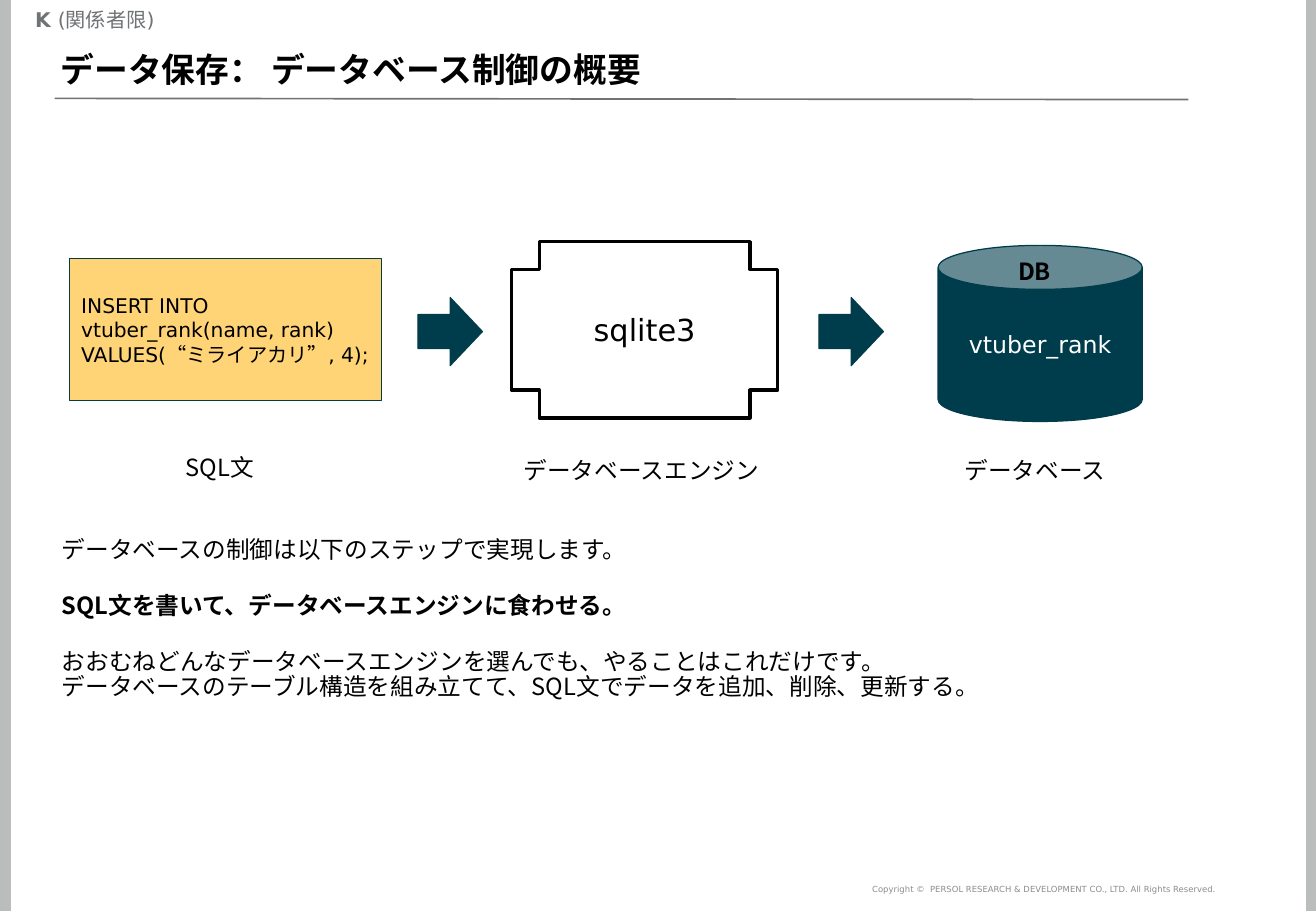
from pptx import Presentation
from pptx.dml.color import RGBColor
from pptx.enum.shapes import MSO_CONNECTOR, MSO_SHAPE
from pptx.enum.text import MSO_ANCHOR, PP_ALIGN
from pptx.util import Pt
from lxml import etree

PX = 9144  # 100 px to the inch
A = "http://schemas.openxmlformats.org/drawingml/2006/main"
SANS, GOTHIC = "DejaVu Sans", "Noto Sans CJK JP"
LEFT, CENTER, RIGHT = PP_ALIGN.LEFT, PP_ALIGN.CENTER, PP_ALIGN.RIGHT
TOP, MIDDLE = MSO_ANCHOR.TOP, MSO_ANCHOR.MIDDLE
RECT, PLUS, CAN = MSO_SHAPE.RECTANGLE, MSO_SHAPE.CROSS, MSO_SHAPE.CAN
ARROW, BAND = MSO_SHAPE.RIGHT_ARROW, MSO_SHAPE.FLOWCHART_PROCESS
BLACK, WHITE, GRAY, TEAL, EDGE = "000000", "FFFFFF", "707375", "003D4C", "003C4A"


def color(hex_code):
    return RGBColor.from_string(hex_code)


def emu(*lengths):
    return [length * PX for length in lengths]


def write(frame, paragraphs, size=14, font=GOTHIC, ink=BLACK, align=LEFT,
          anchor=TOP, spacing=None, bottom=5):
    """Each paragraph is (space before in points, [(text, bold), ...])."""
    frame.word_wrap = True
    frame.vertical_anchor = anchor
    frame.margin_left, frame.margin_top, frame.margin_right, frame.margin_bottom = emu(10, 5, 10, bottom)
    for i, (before, runs) in enumerate(paragraphs):
        paragraph = frame.add_paragraph() if i else frame.paragraphs[0]
        paragraph.alignment = align
        paragraph.space_before = Pt(before)
        if spacing:
            paragraph.line_spacing = spacing
        for words, bold in runs:
            run = paragraph.add_run()
            run.text = words
            run.font.size, run.font.bold, run.font.name = Pt(size), bold, font
            run.font.color.rgb = color(ink)
            east_asian = etree.SubElement(run.font._element, f"{{{A}}}ea")
            east_asian.set("typeface", GOTHIC)


def text(slide, box, words, bold=False, **style):
    paragraphs = [(0, [(words, bold)])] if isinstance(words, str) else words
    write(slide.shapes.add_textbox(*emu(*box)).text_frame, paragraphs, **style)


def block(slide, kind, box, fill, line=None, width=0.75, words=None, **style):
    shape = slide.shapes.add_shape(kind, *emu(*box))
    shape.shadow.inherit = False
    shape.fill.solid()
    shape.fill.fore_color.rgb = color(fill)
    if line:
        shape.line.color.rgb = color(line)
        shape.line.width = Pt(width)
    else:
        shape.line.fill.background()
    if words:
        write(shape.text_frame, [(0, [(words, False)])], font=SANS, anchor=MIDDLE, **style)
    return shape


def page_frame(slide, box):
    left, top, width, height = box
    text(slide, (left + 454, top + 720, 557, 24),
         "Copyright ©  PERSOL RESEARCH & DEVELOPMENT CO., LTD. All Rights Reserved.",
         size=5, font=SANS, ink="8C8C8C", align=RIGHT, anchor=MIDDLE)
    for band_left in (left, left + width - 8):
        block(slide, BAND, (band_left, top, 9, height), "BBBCBC")
    text(slide, (left + 19, top + 1, 209, 30),
         [(0, [("K ", True), ("(関係者限)", False)])], size=12, font=SANS, ink=GRAY)


def heading(slide, box):
    left, top, width, height = box
    rule = slide.shapes.add_connector(
        MSO_CONNECTOR.STRAIGHT, *emu(left + 5, top + 49, left + 938, top + 50))
    rule.line.color.rgb = color(GRAY)
    rule.line.width = Pt(1)
    etree.SubElement(rule._element.spPr, f"{{{A}}}effectLst")
    text(slide, box, "データ保存： データベース制御の概要", bold=True, size=20, anchor=MIDDLE)


def caption(slide, box, words, width):
    """Centres a label box under the part it names."""
    left, top, part_width, _ = box
    text(slide, (left + (part_width - width) // 2, top, width, 32), words, bottom=0)


def flow(slide, box):
    left, top, _, _ = box
    label_top = top + 171
    # SQL statement
    statement = (left, top + 14, 257, 117)
    block(slide, RECT, statement, "FFD477", EDGE, size=12,
          words="INSERT INTO vtuber_rank(name, rank) VALUES(“ミライアカリ”, 4);")
    # Database engine
    engine = (left + 364, top, 219, 145)
    plus = block(slide, PLUS, engine, WHITE, BLACK, 2, "sqlite3", size=18, align=CENTER)
    plus.adjustments[0] = 0.157
    # Database
    database = (left + 715, top + 3, 168, 145)
    block(slide, CAN, database, TEAL, EDGE, words="vtuber_rank", ink=WHITE, align=CENTER)
    text(slide, (database[0] + 56, database[1] + 5, 50, 33), "DB", bold=True, anchor=MIDDLE)
    # Arrows between the stages
    for arrow_left in (left + 287, left + 617):
        block(slide, ARROW, (arrow_left, top + 46, 53, 56), TEAL, EDGE)
    # Labels
    for part, words, width, drop in ((statement, "SQL文", 85, -2),
                                     (engine, "データベースエンジン", 219, 0),
                                     (database, "データベース", 143, 0)):
        caption(slide, (part[0], label_top + drop, part[2], 32), words, width)


def explanation(slide, box):
    text(slide, box, [
        (0, [("データベースの制御は以下のステップで実現します。", False)]),
        (18, [("SQL文を書いて、データベースエンジンに食わせる。", True)]),
        (18, [("おおむねどんなデータベースエンジンを選んでも、やることはこれだけです。", False)]),
        (0, [("データベースのテーブル構造を組み立てて、SQL文でデータを追加、削除、更新する。", False)]),
    ], spacing=0.9, bottom=0)


def main():
    deck = Presentation()
    deck.slide_width, deck.slide_height = emu(1083, 750)
    slide = deck.slides.add_slide(deck.slide_layouts[6])
    page_frame(slide, (0, 0, 1083, 750))
    heading(slide, (40, 32, 1000, 50))
    explanation(slide, (41, 438, 1001, 157))
    flow(slide, (57, 199, 883, 203))
    deck.save("out.pptx")


if __name__ == "__main__":
    main()
